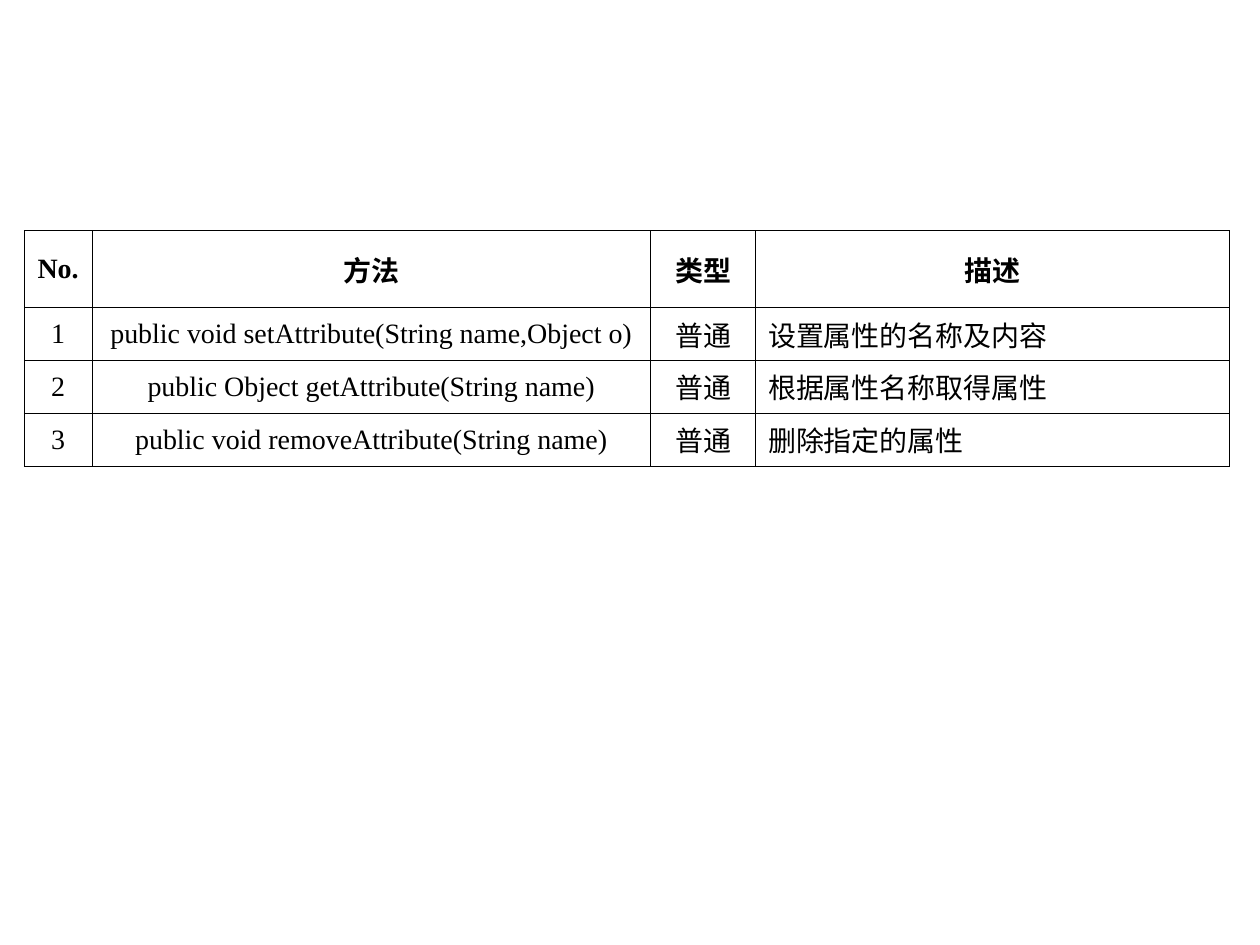
from pptx import Presentation
from pptx.dml.color import RGBColor
from pptx.enum.text import MSO_ANCHOR, PP_ALIGN
from pptx.oxml import parse_xml
from pptx.oxml.ns import nsdecls
from pptx.util import Pt

HEADINGS = ("No.", "方法", "类型", "描述")
METHODS = [
    ("1", "public void setAttribute(String name,Object o)", "普通", "设置属性的名称及内容"),
    ("2", "public Object getAttribute(String name)", "普通", "根据属性名称取得属性"),
    ("3", "public void removeAttribute(String name)", "普通", "删除指定的属性"),
]
COLUMN_WIDTHS = (38.8, 319.2, 60, 270.6)
HEADING_HEIGHT, METHOD_HEIGHT = 43.8, 27.4
LEFT, TOP = 13.8, 131.8
DESCRIPTION_COLUMN = 3

THEME = {
    "font": "Times New Roman",
    "size": 16,
    "ink": "000000",
    "border": 0.45,
    "space_after": 4,
}


def write(cell, text, *, bold=False, align=PP_ALIGN.CENTER):
    cell.vertical_anchor = MSO_ANCHOR.MIDDLE
    paragraph = cell.text_frame.paragraphs[0]
    paragraph.alignment = align
    paragraph.space_after = Pt(THEME["space_after"])
    run = paragraph.add_run()
    run.text = text
    run.font.name = THEME["font"]
    run.font.size = Pt(THEME["size"])
    run.font.bold = bold
    run.font.color.rgb = RGBColor.from_string(THEME["ink"])


def outline(cell):
    cell.fill.background()
    properties = cell._tc.get_or_add_tcPr()
    for position, side in enumerate("LRTB"):
        properties.insert(position, parse_xml(
            f'<a:ln{side} {nsdecls("a")} w="{Pt(THEME["border"])}"><a:solidFill>'
            f'<a:srgbClr val="{THEME["ink"]}"/></a:solidFill></a:ln{side}>'
        ))


def main():
    presentation = Presentation()
    presentation.slide_width, presentation.slide_height = Pt(720), Pt(540)
    slide = presentation.slides.add_slide(presentation.slide_layouts[6])

    rows = [HEADINGS, *METHODS]
    heights = [HEADING_HEIGHT] + [METHOD_HEIGHT] * len(METHODS)
    methods_table = slide.shapes.add_table(
        len(rows), len(HEADINGS), Pt(LEFT), Pt(TOP),
        Pt(sum(COLUMN_WIDTHS)), Pt(sum(heights)),
    ).table
    methods_table.first_row = methods_table.horz_banding = False

    for column, width in zip(methods_table.columns, COLUMN_WIDTHS):
        column.width = Pt(width)
    for row_index, (entries, height) in enumerate(zip(rows, heights)):
        methods_table.rows[row_index].height = Pt(height)
        is_heading = row_index == 0
        for column_index, entry in enumerate(entries):
            cell = methods_table.cell(row_index, column_index)
            is_description = column_index == DESCRIPTION_COLUMN and not is_heading
            write(cell, entry, bold=is_heading,
                  align=PP_ALIGN.LEFT if is_description else PP_ALIGN.CENTER)
            outline(cell)

    presentation.save("out.pptx")


if __name__ == "__main__":
    main()
